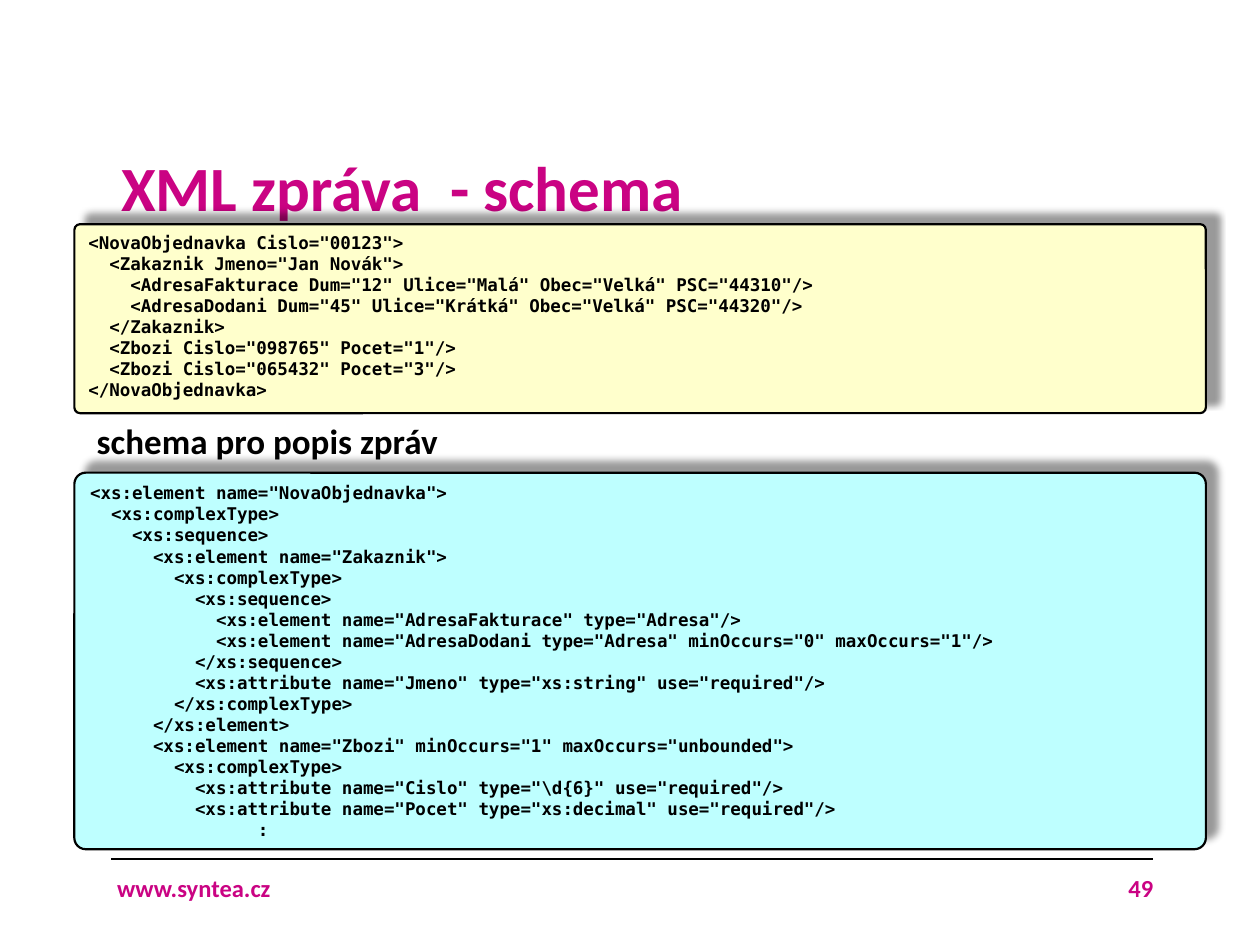
from lxml.etree import SubElement
from pptx import Presentation
from pptx.dml.color import RGBColor
from pptx.enum.shapes import MSO_CONNECTOR, MSO_SHAPE
from pptx.enum.text import MSO_ANCHOR, MSO_AUTO_SIZE, PP_ALIGN
from pptx.oxml.ns import qn
from pptx.util import Cm, Pt

COLORS = {
    "accent": "CA0383",
    "ink": "000000",
    "message": "FFFFCC",
    "schema": "BEFFFF",
}
TEXT_FONT = "Calibri"
CODE_FONT = "DejaVu Sans Mono"
PANEL_LEFT, PANEL_WIDTH = 1.5, 22.81
FOOTER_TOP, FOOTER_HEIGHT = 16.74, 2.31

MESSAGE_XML = """\
<NovaObjednavka Cislo="00123">
  <Zakaznik Jmeno="Jan Novák">
    <AdresaFakturace Dum="12" Ulice="Malá" Obec="Velká" PSC="44310"/>
    <AdresaDodani Dum="45" Ulice="Krátká" Obec="Velká" PSC="44320"/>
  </Zakaznik>
  <Zbozi Cislo="098765" Pocet="1"/>
  <Zbozi Cislo="065432" Pocet="3"/>
</NovaObjednavka>"""

SCHEMA_XML = r"""<xs:element name="NovaObjednavka">
  <xs:complexType>
    <xs:sequence>
      <xs:element name="Zakaznik">
        <xs:complexType>
          <xs:sequence>
            <xs:element name="AdresaFakturace" type="Adresa"/>
            <xs:element name="AdresaDodani type="Adresa" minOccurs="0" maxOccurs="1"/>
          </xs:sequence>
          <xs:attribute name="Jmeno" type="xs:string" use="required"/>
        </xs:complexType>
      </xs:element>
      <xs:element name="Zbozi" minOccurs="1" maxOccurs="unbounded">
        <xs:complexType>
          <xs:attribute name="Cislo" type="\d{6}" use="required"/>
          <xs:attribute name="Pocet" type="xs:decimal" use="required"/>
                :"""


def color(name):
    return RGBColor.from_string(COLORS[name])


def write_text(frame, text, *, size, ink="ink", font=TEXT_FONT, align=PP_ALIGN.LEFT,
               anchor=MSO_ANCHOR.TOP, line_spacing=None, insets=(0.25, 0.13, 0.25, 0.13)):
    frame.word_wrap = True
    frame.auto_size = MSO_AUTO_SIZE.NONE
    frame.vertical_anchor = anchor
    (frame.margin_left, frame.margin_top,
     frame.margin_right, frame.margin_bottom) = map(Cm, insets)
    frame.text = text
    for paragraph in frame.paragraphs:
        paragraph.alignment = align
        paragraph.line_spacing = line_spacing
        for run in paragraph.runs:
            run.font.name = font
            run.font.size = Pt(size)
            run.font.bold = True
            run.font.color.rgb = color(ink)


def add_title(slide, text):
    title = slide.shapes.title
    title.left, title.top, title.width, title.height = map(Cm, (2.34, 2.69, 21.82, 1.78))
    write_text(title.text_frame, text, size=36, ink="accent", line_spacing=1.2,
               insets=(0.1, 0, 0.1, 0.1))


def add_label(slide, text, box, **text_format):
    label = slide.shapes.add_textbox(*map(Cm, box))
    write_text(label.text_frame, text, **text_format)


def add_footer_rule(slide):
    rule = slide.shapes.add_connector(
        MSO_CONNECTOR.STRAIGHT, Cm(2.24), Cm(17.32), Cm(23.24), Cm(17.32))
    rule.line.color.rgb = color("ink")
    rule.line.width = Pt(1.25)
    SubElement(rule.element.spPr, qn("a:effectLst"))


def add_shadow(panel):
    panel.shadow.inherit = False
    effects = panel.element.spPr.find(qn("a:effectLst"))
    shadow = SubElement(effects, qn("a:outerShdw"), blurRad=str(Pt(4)), dist=str(Pt(9)),
                        dir=str(315 * 60000), algn="bl", rotWithShape="0")
    tint = SubElement(shadow, qn("a:srgbClr"), val=COLORS["ink"])
    SubElement(tint, qn("a:alpha"), val="40000")


def add_code_panel(slide, code, top, height, fill):
    panel = slide.shapes.add_shape(
        MSO_SHAPE.ROUNDED_RECTANGLE, Cm(PANEL_LEFT), Cm(top), Cm(PANEL_WIDTH), Cm(height))
    panel.adjustments[0] = 0.03
    panel.fill.solid()
    panel.fill.fore_color.rgb = color(fill)
    panel.line.color.rgb = color("ink")
    panel.line.width = Pt(1.25)
    add_shadow(panel)
    write_text(panel.text_frame, code, size=10, font=CODE_FONT)


def main():
    presentation = Presentation()
    presentation.slide_width, presentation.slide_height = Cm(25.4), Cm(19.05)
    slide = presentation.slides.add_slide(presentation.slide_layouts[5])

    add_title(slide, "XML zpráva  - schema")
    footer_format = {"size": 14, "ink": "accent", "anchor": MSO_ANCHOR.MIDDLE}
    add_label(slide, "www.syntea.cz", (2.11, FOOTER_TOP, 19, FOOTER_HEIGHT), **footer_format)
    add_label(slide, "49", (21.11, FOOTER_TOP, 2.39, FOOTER_HEIGHT),
              align=PP_ALIGN.RIGHT, **footer_format)
    add_footer_rule(slide)
    add_code_panel(slide, MESSAGE_XML, 4.52, 3.81, "message")
    add_code_panel(slide, SCHEMA_XML, 9.53, 7.59, "schema")
    add_label(slide, "schema pro popis zpráv", (1.7, 8.33, 9.4, 1.12), size=20)

    presentation.save("out.pptx")


if __name__ == "__main__":
    main()
